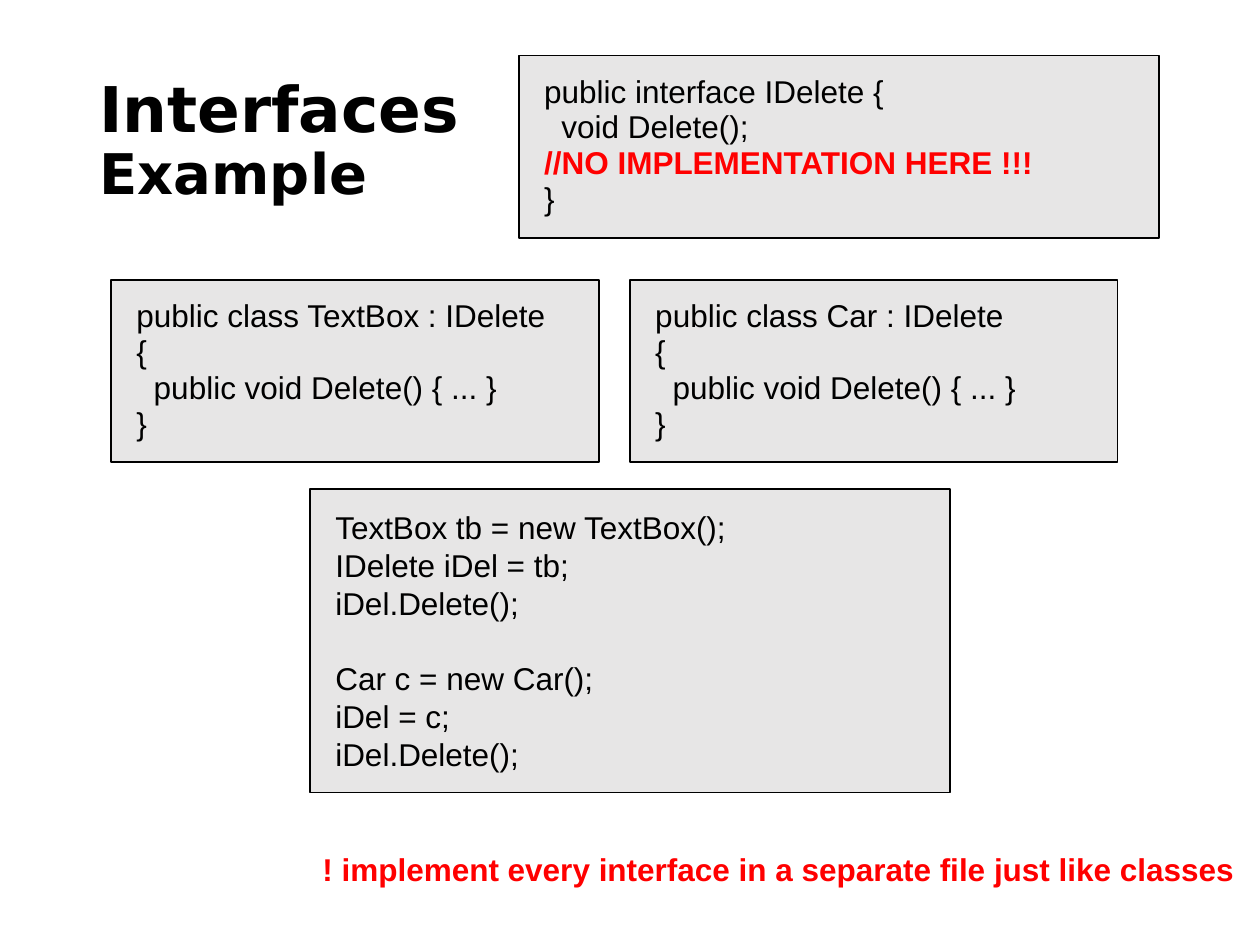
from dataclasses import dataclass

from pptx import Presentation
from pptx.dml.color import RGBColor as RGB
from pptx.enum.shapes import MSO_SHAPE as SHAPE
from pptx.enum.text import MSO_ANCHOR as ANCHOR, MSO_AUTO_SIZE as AUTO, PP_ALIGN as ALIGN
from pptx.util import Cm, Pt


@dataclass(frozen=True)
class Theme:
    ink: RGB = RGB(0x00, 0x00, 0x00)
    warning: RGB = RGB(0xFF, 0x00, 0x00)
    panel: RGB = RGB(0xE7, 0xE6, 0xE6)
    title_font: str = "DejaVu Sans"
    body_font: str = "Arial"
    title_size: Pt = Pt(36)
    subtitle_size: Pt = Pt(32)
    body_size: Pt = Pt(18)
    blank_line: Pt = Pt(21.6)
    code_indent: Cm = Cm(0.35)


theme = Theme()


def style(font, name, size, color, bold=False):
    font.name, font.size, font.bold = name, size, bold
    font.color.rgb = color


prs = Presentation()
prs.slide_width, prs.slide_height = Cm(25.4), Cm(19.05)
slide = prs.slides.add_slide(prs.slide_layouts[5])

# Title in two sizes
title = slide.shapes.title
title.left, title.top, title.width, title.height = Cm(1.75), Cm(1.02), Cm(21.89), Cm(3.68)
title.text_frame.auto_size = AUTO.NONE
title.text_frame.vertical_anchor = ANCHOR.MIDDLE
heading = title.text_frame.paragraphs[0]
heading.alignment = ALIGN.LEFT
heading.line_spacing = 0.9
style(heading.font, theme.title_font, theme.title_size, theme.ink, bold=True)
heading.add_run().text = "Interfaces"
heading.add_line_break()
subtitle = heading.add_run()
subtitle.text = "Example"
subtitle.font.size = theme.subtitle_size

# Code panels: left, top, width, height in cm, line spacing, code
# Leading spaces become an indent, an empty line becomes space before
row_top, class_width, wide_width, short_height = 5.64, 9.83, 12.9, 3.68
class_code = "public class {} : IDelete\n{{\n  public void Delete() {{ ... }}\n}}"
interface_code = """public interface IDelete {
  void Delete();
//NO IMPLEMENTATION HERE !!!
}"""
usage_code = """TextBox tb = new TextBox();
IDelete iDel = tb;
iDel.Delete();

Car c = new Car();
iDel = c;
iDel.Delete();"""
panels = [
    (10.46, 1.12, wide_width, short_height, 0.95, interface_code),
    (2.24, row_top, class_width, short_height, 0.95, class_code.format("TextBox")),
    (12.7, row_top, class_width, short_height, 0.95, class_code.format("Car")),
    (6.25, 9.86, wide_width, 6.12, 1.0, usage_code),
]
for left, top, width, height, spacing, code in panels:
    panel = slide.shapes.add_shape(SHAPE.RECTANGLE, Cm(left), Cm(top), Cm(width), Cm(height))
    panel.shadow.inherit = False
    panel.fill.solid()
    panel.fill.fore_color.rgb = theme.panel
    panel.line.color.rgb = theme.ink
    panel.line.width = Pt(1)

    frame = panel.text_frame
    frame.word_wrap = True
    frame.vertical_anchor = ANCHOR.TOP
    frame.margin_left = frame.margin_right = Cm(0.51)
    frame.margin_top = frame.margin_bottom = Cm(0.38)

    after_blank = False
    for number, code_line in enumerate(code.split("\n")):
        if not code_line:
            after_blank = True
            continue
        line = frame.add_paragraph() if number else frame.paragraphs[0]
        line.text = code_line.strip()
        line.alignment = ALIGN.LEFT
        line.line_spacing = spacing
        if after_blank:
            line.space_before = theme.blank_line
            after_blank = False
        if code_line.startswith(" "):
            properties = line._p.get_or_add_pPr()
            properties.set("marL", str(theme.code_indent))
            properties.set("indent", "0")
        comment = code_line.startswith("//")
        style(line.font, theme.body_font, theme.body_size,
              theme.warning if comment else theme.ink, bold=comment)

# Reminder at the bottom
reminder = slide.shapes.add_textbox(Cm(6.25), Cm(17.02), Cm(22.17), Cm(1.02))
reminder.text_frame.word_wrap = True
advice = reminder.text_frame.paragraphs[0]
advice.text = "! implement every interface in a separate file just like classes"
style(advice.font, theme.body_font, theme.body_size, theme.warning, bold=True)

prs.save("out.pptx")
